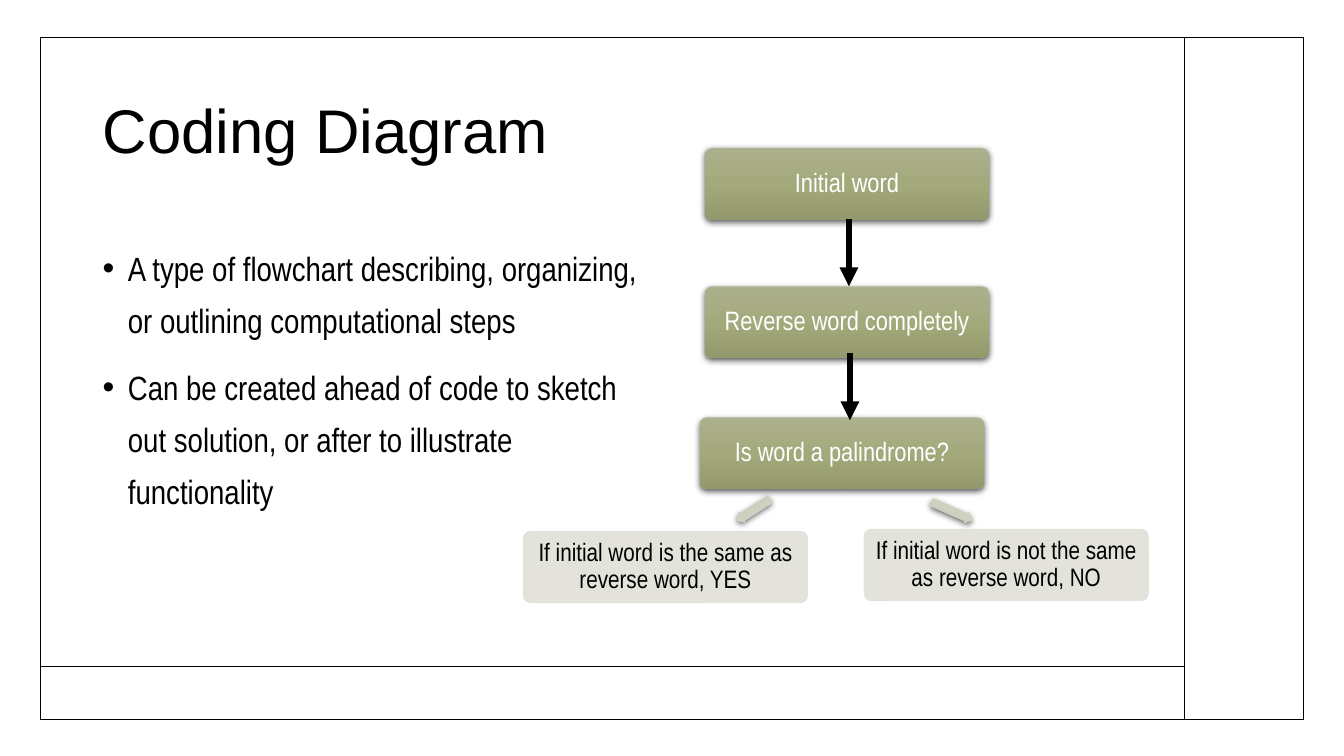
from pptx import Presentation
from pptx.dml.color import RGBColor
from pptx.enum import shapes, text
from pptx.oxml import parse_xml
from pptx.oxml.ns import nsdecls, qn
from pptx.util import Inches, Pt

BLACK = RGBColor(0, 0, 0)
WHITE = RGBColor(255, 255, 255)
PALE = RGBColor(0xE0, 0xE1, 0xD8)
GREEN_STOPS = [RGBColor.from_string(c) for c in ("ACB18D", "A4A97C", "93996C")]
ARROW_STOPS = [RGBColor.from_string(c) for c in ("D5D7C8", "CED1BF", "B8BBA8")]

TITLE = "Coding Diagram"
BULLETS = [
    "A type of flowchart describing, organizing, or outlining computational steps",
    "Can be created ahead of code to sketch out solution, or after to illustrate functionality",
]
BOX_SIZE = (2.82, 0.71)
STEPS = [
    ("Initial word", 6.99, 1.47),
    ("Reverse word completely", 6.99, 2.84),
    ("Is word a palindrome?", 6.94, 4.14),
]
OUTCOMES = [
    ("If initial word is the same as reverse word, YES", 5.19, 5.27),
    ("If initial word is not the same as reverse word, NO", 8.57, 5.25),
]
BRANCHES = [((7.28, 5, 0.39, 0.12), 147.2), ((9.22, 5.01, 0.44, 0.12), 23.9)]
FLOWS = [(8.42, 2.17, 8.42, 2.84), (8.43, 3.5, 8.43, 4.17)]
FRAME = (0.4, 0.37, 12.53, 6.77)
DIVIDERS = [(11.75, 0.37, 11.75, 7.13), (0.41, 6.61, 11.75, 6.61)]


def inches(values):
    """Convert a sequence of numbers to lengths."""
    return [Inches(value) for value in values]


def apply(target, formats):
    """Set each named attribute on the target."""
    for name, value in formats.items():
        setattr(target, name, value)


def write(box, lines, size, color, face="Arial Narrow", frame=None, **layout):
    """Fill a shape with formatted paragraphs."""
    body = box.text_frame
    apply(body, {"word_wrap": True, **(frame or {})})
    body.text = "\n".join(lines)
    for para in body.paragraphs:
        apply(para, layout)
        font = para.runs[0].font
        apply(font, {"size": Pt(size), "name": face})
        font.color.rgb = color


def add_shape(page, kind, place, adjust=None):
    """Add a preset shape with no inherited shadow."""
    shape = page.shapes.add_shape(kind, *inches(place))
    shape.shadow.inherit = False
    if adjust is not None:
        shape.adjustments[0] = adjust
    return shape


def shade(shape, colors):
    """Give a shape a vertical gradient and a soft shadow."""
    shape.line.fill.background()
    stops = "".join(
        f'<a:gs pos="{i * 50000}"><a:srgbClr val="{color}"/></a:gs>'
        for i, color in enumerate(colors)
    )
    properties = shape._element.spPr
    properties.find(qn("a:prstGeom")).addnext(parse_xml(
        f'<a:gradFill {nsdecls("a")} rotWithShape="1"><a:gsLst>{stops}</a:gsLst>'
        '<a:lin ang="5400000" scaled="0"/></a:gradFill>'))
    properties.find(qn("a:effectLst")).append(parse_xml(
        f'<a:outerShdw {nsdecls("a")} blurRad="{Pt(4.5)}" dist="{Pt(1.5)}" dir="5400000" '
        'algn="ctr" rotWithShape="0"><a:srgbClr val="000000"><a:alpha val="63000"/>'
        '</a:srgbClr></a:outerShdw>'))


def tint(shape):
    """Give a shape a slightly transparent pale fill and outline."""
    shape.fill.solid()
    shape.fill.fore_color.rgb = PALE
    shape.line.color.rgb = PALE
    shape.line.width = Pt(0.5)
    for color in shape._element.spPr.iter(qn("a:srgbClr")):
        color.append(parse_xml(f'<a:alpha {nsdecls("a")} val="90000"/>'))


def add_line(page, ends, width, arrow=False):
    """Add a black straight line, optionally with an arrowhead."""
    line = page.shapes.add_connector(shapes.MSO_CONNECTOR.STRAIGHT, *inches(ends))
    line.line.color.rgb = BLACK
    line.line.width = Pt(width)
    if arrow:
        line.line._get_or_add_ln().append(
            parse_xml(f'<a:tailEnd {nsdecls("a")} type="triangle"/>'))
    line._element.spPr.append(parse_xml(f'<a:effectLst {nsdecls("a")}/>'))


def add_box(page, label, left, top, size, color):
    """Add a rounded flowchart box with a centred label."""
    box = add_shape(page, shapes.MSO_SHAPE.ROUNDED_RECTANGLE, (left, top, *BOX_SIZE), 0.1)
    margins = {f"margin_{side}": Inches(0.05) for side in ("left", "right", "top", "bottom")}
    write(box, [label], size, color, alignment=text.PP_ALIGN.CENTER, line_spacing=0.9,
          frame={"vertical_anchor": text.MSO_ANCHOR.MIDDLE, **margins})
    return box


deck = Presentation()
apply(deck, {"slide_width": Inches(13.33), "slide_height": Inches(7.5)})
page = deck.slides.add_slide(deck.slide_layouts[5])

frame = add_shape(page, shapes.MSO_SHAPE.RECTANGLE, FRAME)
frame.fill.background()
frame.line.color.rgb = BLACK
frame.line.width = Pt(1)
for ends in DIVIDERS:
    add_line(page, ends, 1)

title = page.shapes.title
apply(title, dict(zip(("left", "top", "width", "height"), inches((0.92, 0.6, 10.38, 1.45)))))
write(title, [TITLE], 44, BLACK, "Arial", alignment=text.PP_ALIGN.LEFT, line_spacing=0.9,
      frame={"vertical_anchor": text.MSO_ANCHOR.MIDDLE})

notes = page.shapes.add_textbox(*inches((0.92, 2.29, 5.75, 4.1)))
write(notes, BULLETS, 24, BLACK, line_spacing=1.3, space_before=Pt(10))
for para in notes.text_frame.paragraphs:
    settings = para._p.get_or_add_pPr()
    settings.set("marL", str(Inches(0.25)))
    settings.set("indent", str(-Inches(0.25)))
    settings.append(parse_xml(f'<a:buFont {nsdecls("a")} typeface="Arial"/>'))
    settings.append(parse_xml(f'<a:buChar {nsdecls("a")} char="\u2022"/>'))

for step in STEPS:
    shade(add_box(page, *step, 19, WHITE), GREEN_STOPS)
for place, angle in BRANCHES:
    branch = add_shape(page, shapes.MSO_SHAPE.RIGHT_ARROW, place, 0.667)
    branch.rotation = angle
    shade(branch, ARROW_STOPS)
for outcome in OUTCOMES:
    tint(add_box(page, *outcome, 18, BLACK))
for ends in FLOWS:
    add_line(page, ends, 4.5, arrow=True)

deck.save("out.pptx")
